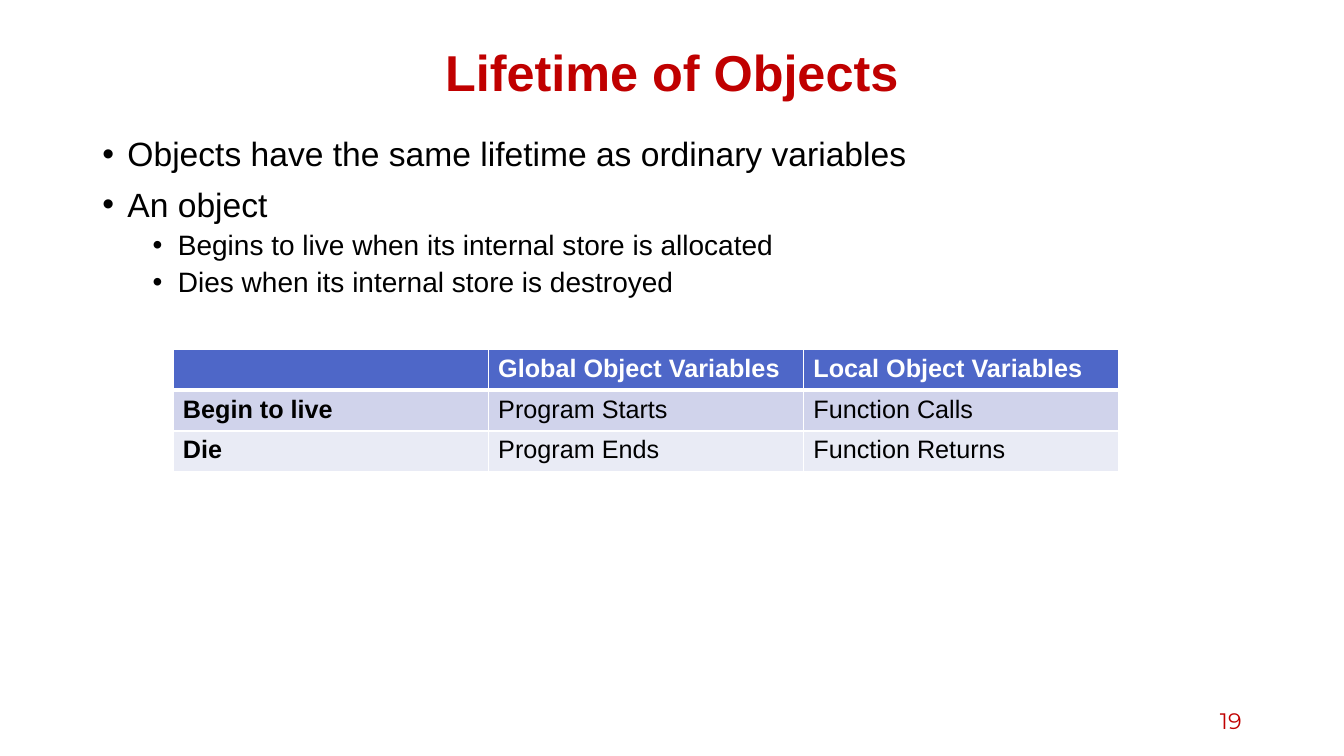
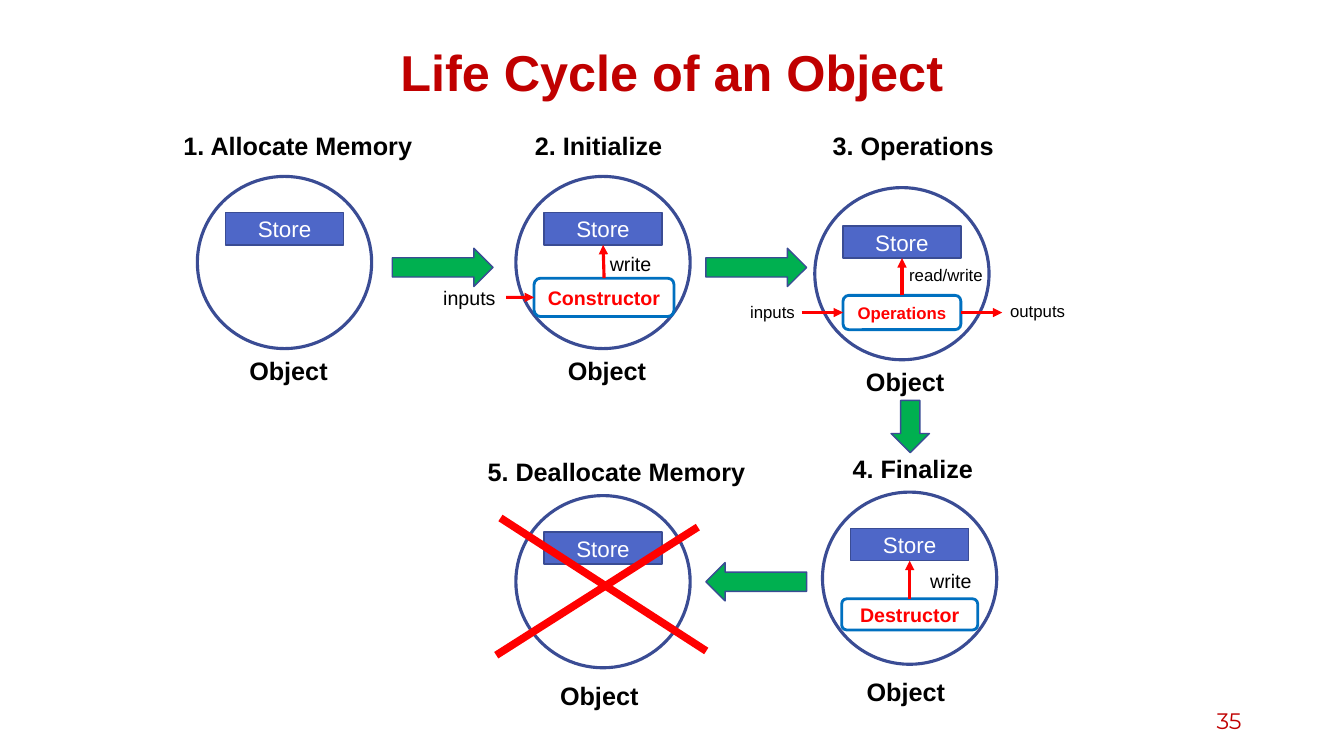
from lxml import etree
from pptx import Presentation
from pptx.dml.color import RGBColor
from pptx.enum.shapes import MSO_CONNECTOR, MSO_SHAPE
from pptx.enum.text import MSO_ANCHOR, PP_ALIGN
from pptx.oxml.ns import qn
from pptx.util import Pt

STRAIGHT = MSO_CONNECTOR.STRAIGHT
RECT, ROUNDED, OVAL, DOWN_ARROW = (MSO_SHAPE.RECTANGLE, MSO_SHAPE.ROUNDED_RECTANGLE,
                                   MSO_SHAPE.OVAL, MSO_SHAPE.DOWN_ARROW)
TOP, MIDDLE = MSO_ANCHOR.TOP, MSO_ANCHOR.MIDDLE
LEFT, CENTER, RIGHT = PP_ALIGN.LEFT, PP_ALIGN.CENTER, PP_ALIGN.RIGHT
SIDE_TOP, SIDE_LEFT, SIDE_BOTTOM, SIDE_RIGHT = range(4)

COLORS = {
    "heading": "C00000", "text": "000000", "white": "FFFFFF", "blue": "4E67C8",
    "outline": "3A4C94", "band_dark": "D0D3EB", "band_light": "E9EBF5",
    "step": "00B050", "action": "FF0000", "worker": "0070C0",
}
BODY_FONT, NUMBER_FONT = "Arial", "Montserrat"
CIRCLE_W, CIRCLE_H = 124.5, 123
STORE_W, STORE_H = 84.2, 23


def rgb(name):
    """Return the named colour."""
    return RGBColor.from_string(COLORS[name])


def add_run(paragraph, text, size, color="text", bold=False, font=BODY_FONT):
    """Add one formatted run to a paragraph."""
    run = paragraph.add_run()
    run.text = text
    run.font.size, run.font.bold, run.font.name = Pt(size), bold, font
    run.font.color.rgb = rgb(color)


def add_text(slide, box, text, size, color="text", bold=False, align=LEFT,
             anchor=TOP, font=BODY_FONT):
    """Place a single-paragraph text box and return its paragraph."""
    frame = slide.shapes.add_textbox(*map(Pt, box)).text_frame
    frame.word_wrap, frame.vertical_anchor = True, anchor
    paragraph = frame.paragraphs[0]
    paragraph.alignment = align
    add_run(paragraph, text, size, color, bold, font)
    return paragraph


def add_figure(slide, kind, box, fill, outline, weight):
    """Place a flat preset shape, unfilled when fill is None."""
    figure = slide.shapes.add_shape(kind, *map(Pt, box))
    figure.shadow.inherit = False
    if fill:
        figure.fill.solid()
        figure.fill.fore_color.rgb = rgb(fill)
    else:
        figure.fill.background()
    figure.line.color.rgb, figure.line.width = rgb(outline), Pt(weight)
    return figure


def label_figure(figure, text, size, color, bold=False):
    """Centre a label inside a shape."""
    frame = figure.text_frame
    frame.word_wrap, frame.vertical_anchor = True, MIDDLE
    frame.margin_left = frame.margin_right = frame.margin_top = frame.margin_bottom = 0
    frame.paragraphs[0].alignment = CENTER
    add_run(frame.paragraphs[0], text, size, color, bold)


def add_line(slide, start, end, weight=2.25, arrow=True):
    """Draw a red line, with an arrowhead at its end if wanted."""
    line = slide.shapes.add_connector(STRAIGHT, *map(Pt, start + end))
    line.line.color.rgb, line.line.width = rgb("action"), Pt(weight)
    if arrow:
        etree.SubElement(line.line._get_or_add_ln(), qn("a:tailEnd"), type="triangle")
    etree.SubElement(line._element.spPr, qn("a:effectLst"))
    return line


def add_base(deck, title, number):
    """Add a blank slide with its title and slide number."""
    slide = deck.slides.add_slide(deck.slide_layouts[6])
    heading = add_text(slide, (66, 29, 828, 50), title, 36, "heading", True, CENTER, MIDDLE)
    heading.line_spacing = 0.9
    add_text(slide, (678, 500, 216, 29), number, 16, "heading", False, RIGHT, MIDDLE,
             NUMBER_FONT)
    return slide


def add_bullets(slide, box, items):
    """Place a two-level bulleted list of (level, text) items."""
    frame = slide.shapes.add_textbox(*map(Pt, box)).text_frame
    frame.word_wrap = True
    for index, (level, text) in enumerate(items):
        paragraph = frame.add_paragraph() if index else frame.paragraphs[0]
        paragraph.level, paragraph.line_spacing = level, 0.9
        paragraph.space_before = Pt(5 if level else 10)
        props = paragraph._p.get_or_add_pPr()
        props.set("marL", str(Pt(18 + 36 * level)))
        props.set("indent", str(Pt(-18)))
        etree.SubElement(props, qn("a:buFont"), typeface=BODY_FONT)
        etree.SubElement(props, qn("a:buChar"), char="•")
        add_run(paragraph, text, 20 if level else 24)


def border_cell(cell, bottom):
    """Give a cell white borders with the given bottom weight."""
    props = cell._tc.get_or_add_tcPr()
    for side, weight in (("L", 1), ("R", 1), ("T", 1), ("B", bottom)):
        edge = etree.SubElement(props, qn(f"a:ln{side}"), w=str(Pt(weight)))
        paint = etree.SubElement(edge, qn("a:solidFill"))
        etree.SubElement(paint, qn("a:srgbClr"), val=COLORS["white"])


def add_lifetimes(slide, box, rows):
    """Place the table of lifetimes with equal rows and columns."""
    table = slide.shapes.add_table(len(rows), len(rows[0]), *map(Pt, box)).table
    for r, (row, fill) in enumerate(zip(rows, ("blue", "band_dark", "band_light"))):
        for c, text in enumerate(row):
            cell = table.cell(r, c)
            border_cell(cell, 1 if r else 3)
            cell.fill.solid()
            cell.fill.fore_color.rgb = rgb(fill)
            if text:
                add_run(cell.text_frame.paragraphs[0], text, 18,
                        "text" if r else "white", r == 0 or c == 0)


def add_stage(slide, origin, title, title_at, caption_at, store_y=26):
    """Place one life stage around its circle and return the store."""
    x, y = origin
    store = add_figure(slide, RECT, (x + 20.2, y + store_y, STORE_W, STORE_H),
                       "blue", "outline", 1)
    label_figure(store, "Store", 16, "white")
    add_figure(slide, OVAL, (x, y, CIRCLE_W, CIRCLE_H), None, "outline", 2.25)
    for text, (dx, dy), width in ((title, title_at, 219), ("Object", caption_at, 80)):
        add_text(slide, (x + dx, y + dy, width, 29), text, 18, bold=True)
    return store


def add_worker(slide, origin, store, name, box, size, access, access_at):
    """Place the function that accesses the store and return its box."""
    x, y = origin
    dx, dy, width, height = box
    worker = add_figure(slide, ROUNDED, (x + dx, y + dy, width, height), None, "worker", 2)
    label_figure(worker, name, size, "action", True)
    link = add_line(slide, (x, y), (x, y))
    link.begin_connect(worker, SIDE_TOP)
    link.end_connect(store, SIDE_BOTTOM)
    add_text(slide, (x + access_at[0], y + access_at[1], 84, 24), access, size)
    return worker


def add_input(slide, worker, length, label_gap, label_y, size):
    """Lead an inputs arrow into the left side of a worker."""
    x, y = worker.left.pt, worker.top.pt + worker.height.pt / 2
    add_line(slide, (x - length, y), (x, y)).end_connect(worker, SIDE_LEFT)
    add_text(slide, (x - label_gap, y + label_y, 60, 24), "inputs", size)


def add_output(slide, worker, length, size):
    """Lead an outputs arrow out of the right side of a worker."""
    x, y = worker.left.pt + worker.width.pt, worker.top.pt + worker.height.pt / 2
    add_line(slide, (x, y), (x + length, y)).begin_connect(worker, SIDE_RIGHT)
    add_text(slide, (x + 28, y - 12, 60, 22), "outputs", size)


def add_cross(slide, origin):
    """Strike out the stage whose circle starts at the origin."""
    x, y = origin
    add_line(slide, (x - 11, y + 16), (x + 136, y + 111), 5.5, False)
    add_line(slide, (x - 14, y + 114), (x + 130, y + 22.5), 5.5, False)


def lifetime_slide(deck):
    """Build the slide on object lifetime."""
    slide = add_base(deck, "Lifetime of Objects", "19")
    add_bullets(slide, (66, 95, 828, 397), [
        (0, "Objects have the same lifetime as ordinary variables"),
        (0, "An object"),
        (1, "Begins to live when its internal store is allocated"),
        (1, "Dies when its internal store is destroyed"),
    ])
    add_lifetimes(slide, (123.5, 249.5, 675.6, 87.6), [
        ("", "Global Object Variables", "Local Object Variables"),
        ("Begin to live", "Program Starts", "Function Calls"),
        ("Die", "Program Ends", "Function Returns"),
    ])


def life_cycle_slide(deck):
    """Build the slide on the five life stages."""
    slide = add_base(deck, "Life Cycle of an Object", "35")
    allocate, initialize, operate = (141, 126), (368.5, 126), (582, 134)
    finalize, deallocate = (587.5, 351.5), (368.5, 354)

    add_stage(slide, allocate, "1. Allocate Memory", (-17, -36.7), (30, 124))

    store = add_stage(slide, initialize, "2. Initialize", (6.5, -36.7), (30, 124))
    constructor = add_worker(slide, initialize, store, "Constructor",
                             (13, 72.7, 100, 27.4), 14, "write", (60, 50.4))
    add_input(slide, constructor, 20, 72, -12, 14)

    store = add_stage(slide, operate, "3. Operations", (5.7, -44.7), (29.5, 124), 27.4)
    operations = add_worker(slide, operate, store, "Operations",
                            (20.2, 77, STORE_W, 24.5), 12, "read/write", (60.3, 51.8))
    add_input(slide, operations, 29.5, 73.5, -11.5, 12)
    add_output(slide, operations, 29.5, 12)

    store = add_stage(slide, finalize, "4. Finalize", (14.4, -31), (24.5, 128))
    add_worker(slide, finalize, store, "Destructor",
               (13.7, 76.2, 97.2, 22.3), 14, "write", (69.8, 51))

    add_stage(slide, deallocate, "5. Deallocate Memory", (-27.3, -31.5), (24.5, 128.4))
    add_cross(slide, deallocate)

    for x, y, length, turn in ((302.5, 155, 72, 270), (526.5, 155, 72, 270),
                               (636.5, 286, 37.4, 0), (526.5, 379.5, 72, 90)):
        step = add_figure(slide, DOWN_ARROW, (x, y, 27.4, length), "step", "outline", 1)
        step.rotation = turn


def main():
    """Build and save the presentation."""
    deck = Presentation()
    deck.slide_width, deck.slide_height = Pt(960), Pt(540)
    lifetime_slide(deck)
    life_cycle_slide(deck)
    deck.save("out.pptx")


if __name__ == "__main__":
    main()
